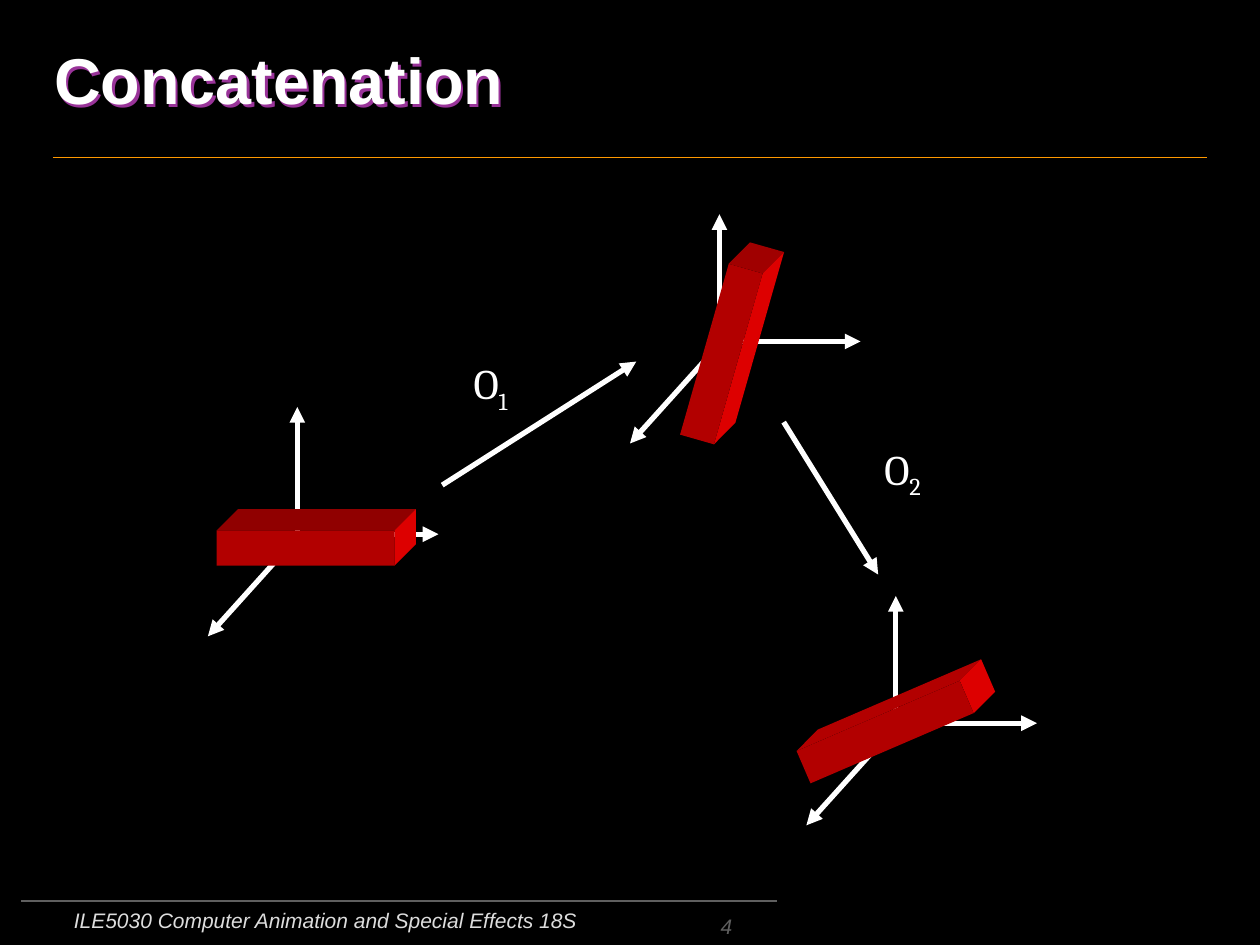
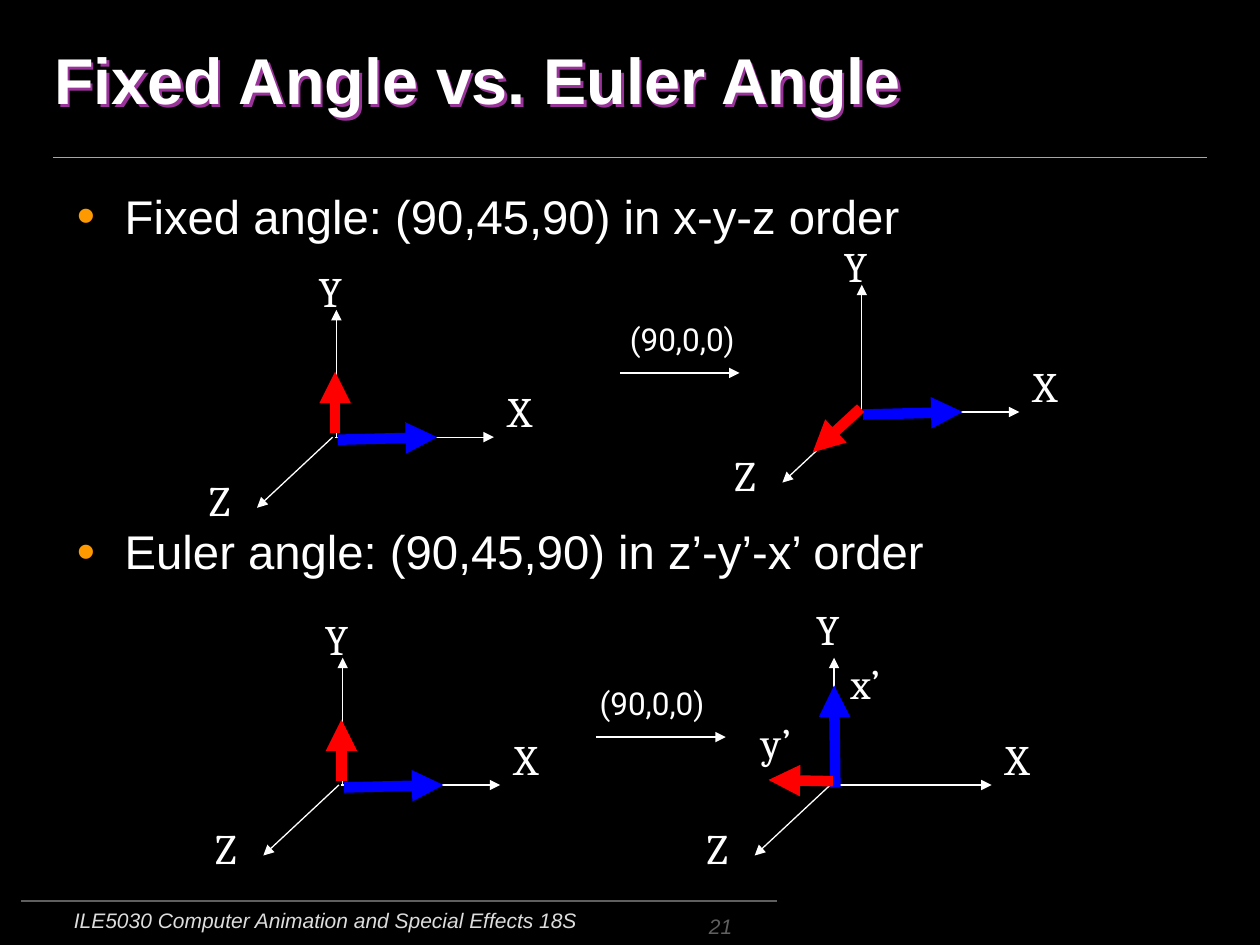
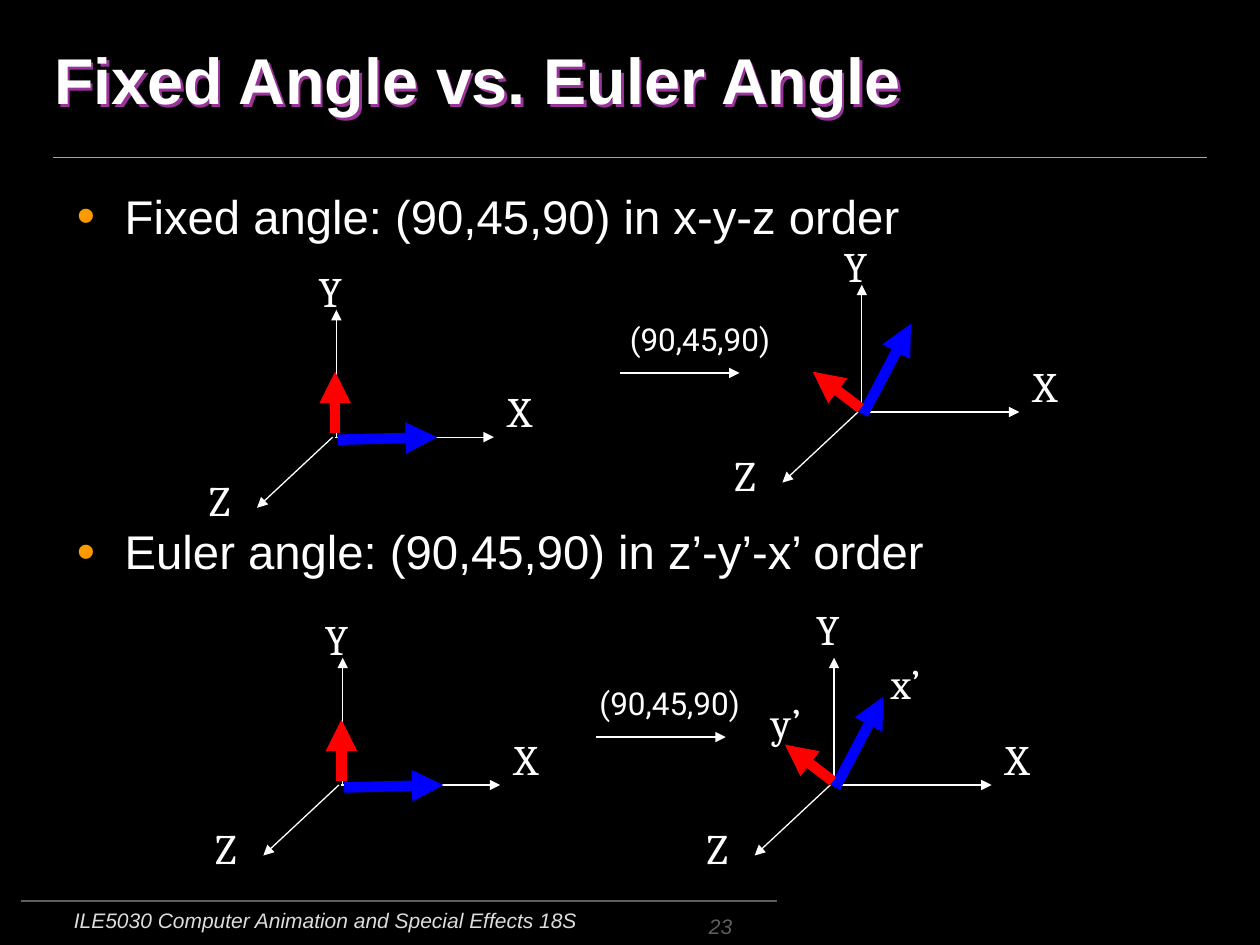
from dataclasses import dataclass
from math import cos, radians, sin
from typing import NamedTuple

from lxml import etree
from pptx import Presentation
from pptx.dml.color import RGBColor
from pptx.enum.shapes import MSO_CONNECTOR, MSO_SHAPE
from pptx.enum.text import MSO_ANCHOR, MSO_AUTO_SIZE, PP_ALIGN
from pptx.oxml.ns import qn
from pptx.util import Emu, Pt

STRAIGHT, RECT = MSO_CONNECTOR.STRAIGHT, MSO_SHAPE.RECTANGLE
TOP, MIDDLE, BOTTOM = MSO_ANCHOR.TOP, MSO_ANCHOR.MIDDLE, MSO_ANCHOR.BOTTOM
LEFT, CENTER, RIGHT = PP_ALIGN.LEFT, PP_ALIGN.CENTER, PP_ALIGN.RIGHT
FIXED_SIZE, FIT_TEXT = MSO_AUTO_SIZE.NONE, MSO_AUTO_SIZE.SHAPE_TO_FIT_TEXT

BLACK = RGBColor(0, 0, 0)
WHITE = RGBColor(0xFF, 0xFF, 0xFF)
ORANGE = RGBColor(0xFF, 0x99, 0x00)
PURPLE = RGBColor(0x99, 0x33, 0x99)
GRAY = RGBColor(0x5F, 0x5F, 0x5F)
SILVER = RGBColor(0xDD, 0xDD, 0xDD)
BLUE = RGBColor(0, 0, 0xFF)
RED = RGBColor(0xFF, 0, 0)
FRONT_RED = RGBColor(0xB2, 0, 0)
DARK_RED = RGBColor(0x90, 0, 0)
DUSK_RED = RGBColor(0xA0, 0, 0)
SIDE_RED = RGBColor(0xDD, 0, 0)

SANS, SERIF, LABEL_SANS = "Arial", "Cambria", "Roboto"
COLUMNS, ROWS = 10, 7.5
CELL = 914400
FOOTER = "ILE5030 Computer Animation and Special Effects 18S"
DEPTH = (0.17, -0.17)


class Point(NamedTuple):
    x: float
    y: float

    def shift(self, dx: float, dy: float) -> "Point":
        return Point(self.x + dx, self.y + dy)


class Box(NamedTuple):
    x: float
    y: float
    w: float
    h: float


@dataclass
class Style:
    size: float
    font: str = SANS
    color: RGBColor = WHITE
    bold: bool = False
    italic: bool = False


@dataclass
class Brick:
    origin: Point
    box: Box
    angle: float
    upper: RGBColor


@dataclass
class Frame:
    origin: Point
    blue_tip: Point
    red_tip: Point
    y_label: float = -1.42


@dataclass
class Example:
    number: str
    angles: str
    angles_width: float
    fixed: Frame
    euler: Frame
    x_mark: Point
    y_mark: Point


TITLE_STYLE = Style(37, bold=True)
BODY_STYLE = Style(27)
AXIS_STYLE = Style(24, SERIF)
ANGLE_STYLE = Style(18, LABEL_SANS)

TITLE_BOX = Box(0.33, 0, 7.33, 1.25)
BODY_BOX = Box(0.51, 1.39, 9, 5.13)

BRICKS = [
    Brick(Point(2.37, 4.24), Box(1.72, 4.21, 1.41, 0.28), 0, DARK_RED),
    Brick(Point(5.72, 2.71), Box(5.02, 2.67, 1.41, 0.28), 285.9, DUSK_RED),
    Brick(Point(7.12, 5.74), Box(6.32, 5.67, 1.41, 0.28), 336.7, FRONT_RED),
]
MOVES = [
    ("1", Point(3.51, 3.85), Point(5.05, 2.87), Point(3.66, 2.79)),
    ("2", Point(6.22, 3.35), Point(6.97, 4.56), Point(6.92, 3.47)),
]

REST_BLUE, REST_RED = Point(0.8, -0.01), Point(-0.01, -0.53)
FIXED_ORIGIN, EULER_ORIGIN = Point(6.84, 3.28), Point(6.62, 6.24)
START_FRAMES = [
    Frame(Point(2.67, 3.48), REST_BLUE, REST_RED),
    Frame(Point(2.72, 6.24), REST_BLUE, REST_RED),
]
TURNED_BLUE, TURNED_RED = Point(0.39, -0.71), Point(-0.39, -0.33)
BULLETS = [
    ("Fixed angle: (90,45,90) in x-y-z order", 0),
    ("Euler angle: (90,45,90) in z’-y’-x’ order", 150),
]
EXAMPLES = [
    Example("21", "(90,0,0)", 1.09,
            Frame(FIXED_ORIGIN, REST_BLUE, Point(-0.39, 0.31)),
            Frame(EULER_ORIGIN, Point(0, -0.8), Point(-0.52, -0.05), -1.5),
            Point(6.65, 5.17), Point(5.94, 5.64)),
    Example("23", "(90,45,90)", 1.37,
            Frame(FIXED_ORIGIN, TURNED_BLUE, TURNED_RED),
            Frame(EULER_ORIGIN, TURNED_BLUE, TURNED_RED, -1.5),
            Point(6.97, 5.17), Point(6.02, 5.48)),
]


def cells(n: float) -> Emu:
    return Emu(round(n * CELL))


def place(sp, box: Box) -> None:
    sp.left, sp.top, sp.width, sp.height = map(cells, box)


def add_run(p, text: str, style: Style):
    r = p.add_run()
    r.text = text
    f = r.font
    f.name, f.size, f.bold, f.italic = style.font, Pt(style.size), style.bold, style.italic
    f.color.rgb = style.color
    return r


def add_text(s, box: Box, text: str, style: Style, align=LEFT, anchor=TOP):
    sp = s.shapes.add_textbox(*map(cells, box))
    tf = sp.text_frame
    tf.word_wrap, tf.vertical_anchor = True, anchor
    p = tf.paragraphs[0]
    p.alignment = align
    add_run(p, text, style)
    return sp


def add_label(s, at: Point, width: float, text: str, style: Style = AXIS_STYLE,
              height: float = 0.5):
    sp = add_text(s, Box(at.x, at.y, width, height), text, style)
    sp.text_frame.word_wrap = False
    sp.text_frame.auto_size = FIT_TEXT
    return sp


def add_line(s, start: Point, end: Point, color: RGBColor, width: float,
             arrow: bool = True) -> None:
    c = s.shapes.add_connector(STRAIGHT, *map(cells, (*start, *end)))
    c.line.color.rgb, c.line.width = color, Pt(width)
    sp_pr = c._element.spPr
    if arrow:
        etree.SubElement(sp_pr.find(qn("a:ln")), qn("a:tailEnd"), type="triangle")
    etree.SubElement(sp_pr, qn("a:effectLst"))


def add_title(s, text: str) -> None:
    sp = s.shapes.title
    place(sp, TITLE_BOX)
    tf = sp.text_frame
    tf.auto_size, tf.vertical_anchor = FIXED_SIZE, MIDDLE
    p = tf.paragraphs[0]
    p.alignment = LEFT
    add_run(p, text, TITLE_STYLE)
    effects = etree.SubElement(sp._element.spPr, qn("a:effectLst"))
    shadow = etree.SubElement(effects, qn("a:outerShdw"), dist="25400", dir="2700000",
                              algn="ctr", rotWithShape="0")
    etree.SubElement(shadow, qn("a:srgbClr"), val=str(PURPLE))


def add_bullets(s) -> None:
    sp = s.placeholders[1]
    place(sp, BODY_BOX)
    tf = sp.text_frame
    tf.auto_size, tf.vertical_anchor = FIXED_SIZE, TOP
    for i, (text, gap) in enumerate(BULLETS):
        p = tf.add_paragraph() if i else tf.paragraphs[0]
        p_pr = p._p.get_or_add_pPr()
        p_pr.set("marL", str(cells(0.38)))
        p_pr.set("indent", str(cells(-0.38)))
        color = etree.SubElement(p_pr, qn("a:buClr"))
        etree.SubElement(color, qn("a:srgbClr"), val=str(ORANGE))
        etree.SubElement(p_pr, qn("a:buSzPct"), val="110000")
        etree.SubElement(p_pr, qn("a:buFont"), typeface=SANS)
        etree.SubElement(p_pr, qn("a:buChar"), char="•")
        p.line_spacing, p.space_before, p.space_after = 1.1, Pt(gap), Pt(6)
        add_run(p, text, BODY_STYLE)


def add_slide(prs, layout: int, title: str, number: str):
    s = prs.slides.add_slide(prs.slide_layouts[layout])
    add_line(s, Point(0.42, 1.25), Point(9.58, 1.25), ORANGE, 1, arrow=False)
    add_line(s, Point(0.17, 7.15), Point(6.17, 7.15), GRAY, 1, arrow=False)
    add_text(s, Box(3.58, 7.23, 2.33, 0.27), number,
             Style(12, color=GRAY, italic=True), RIGHT, BOTTOM)
    add_text(s, Box(0.25, 7.15, 4.67, 0.35), FOOTER,
             Style(12, color=SILVER, italic=True), CENTER)
    add_title(s, title)
    return s


def fill_plain(sp, color: RGBColor) -> None:
    sp.shadow.inherit = False
    sp.fill.solid()
    sp.fill.fore_color.rgb = color
    sp.line.fill.background()


def add_brick(s, brick: Brick) -> None:
    o, box = brick.origin, brick.box
    for start, end in [((-0.01, -0.01), (-0.01, -1.01)), ((0.01, 0), (1.11, 0)),
                       ((0.01, 0), (-0.72, 0.81))]:
        add_line(s, o.shift(*start), o.shift(*end), WHITE, 3)

    turn = radians(brick.angle)
    center = Point(box.x + box.w / 2, box.y + box.h / 2)

    def rotate(x: float, y: float) -> Point:
        return Point(x * cos(turn) - y * sin(turn), x * sin(turn) + y * cos(turn))

    faces = []
    for nx, ny in [(0, -1), (1, 0), (0, 1), (-1, 0)]:
        normal = rotate(nx, ny)
        if normal.x * DEPTH[0] + normal.y * DEPTH[1] > 0:
            ends = [center.shift(*rotate((nx + k * ny) * box.w / 2, (ny + k * nx) * box.h / 2))
                    for k in (-1, 1)]
            faces.append((normal.y, ends))
    for (_, (a, b)), color in zip(sorted(faces), (brick.upper, SIDE_RED)):
        outline = [tuple(map(cells, pt)) for pt in (a, b, b.shift(*DEPTH), a.shift(*DEPTH))]
        fb = s.shapes.build_freeform(*outline[0])
        fb.add_line_segments(outline[1:])
        fill_plain(fb.convert_to_shape(), color)

    front = s.shapes.add_shape(RECT, *map(cells, box))
    front.rotation = brick.angle
    fill_plain(front, FRONT_RED)


def add_frame(s, frame: Frame) -> None:
    o = frame.origin
    for start, end in [((0, 0), (0, -1.02)), ((-0.01, -0.01), (1.25, -0.01)),
                       ((-0.03, -0.01), (-0.63, 0.55))]:
        add_line(s, o.shift(*start), o.shift(*end), WHITE, 0.75)
    for text, offset, width in [("X", (1.26, -0.47), 0.44), ("Z", (-1.11, 0.24), 0.4),
                                ("Y", (-0.24, frame.y_label), 0.44)]:
        add_label(s, o.shift(*offset), width, text)
    add_line(s, o.shift(0.01, 0.01), o.shift(*frame.blue_tip), BLUE, 6)
    add_line(s, o.shift(-0.01, -0.04), o.shift(*frame.red_tip), RED, 6)


def add_concatenation(prs) -> None:
    s = add_slide(prs, 5, "Concatenation", "4")
    for brick in BRICKS:
        add_brick(s, brick)
    for index, start, end, at in MOVES:
        add_line(s, start, end, WHITE, 3)
        sp = add_label(s, at, 0.55, "O")
        r = add_run(sp.text_frame.paragraphs[0], index, AXIS_STYLE)
        r.font._element.set("baseline", "-25000")


def add_example(prs, example: Example) -> None:
    s = add_slide(prs, 1, "Fixed Angle vs. Euler Angle", example.number)
    add_bullets(s)
    for frame in (*START_FRAMES, example.fixed, example.euler):
        add_frame(s, frame)
    for start, end, at in [(Point(4.92, 2.96), Point(5.87, 2.96), Point(4.9, 2.49)),
                           (Point(4.73, 5.85), Point(5.76, 5.85), Point(4.66, 5.38))]:
        add_line(s, start, end, WHITE, 0.75)
        add_label(s, at, example.angles_width, example.angles, ANGLE_STYLE, 0.4)
    add_label(s, example.x_mark, 0.48, "x’")
    add_label(s, example.y_mark, 0.48, "y’")


def main() -> None:
    prs = Presentation()
    prs.slide_width, prs.slide_height = cells(COLUMNS), cells(ROWS)
    fill = prs.slide_master.background.fill
    fill.solid()
    fill.fore_color.rgb = BLACK
    add_concatenation(prs)
    for example in EXAMPLES:
        add_example(prs, example)
    prs.save("out.pptx")


if __name__ == "__main__":
    main()
